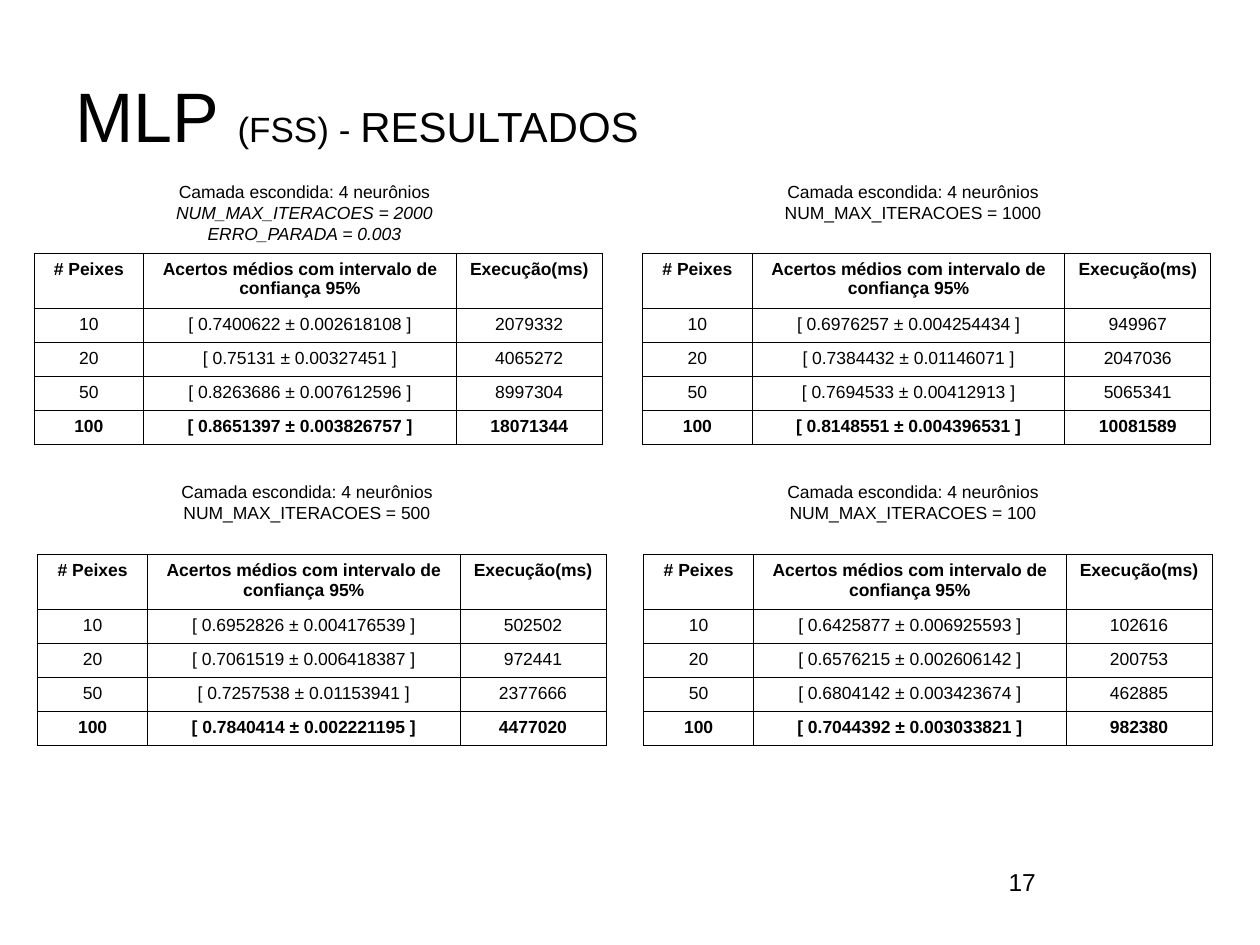
"""Build the MLP (FSS) results slide: four captioned tables in a two by two grid."""
from dataclasses import dataclass

from lxml.etree import SubElement
from pptx import Presentation
from pptx.dml.color import RGBColor
from pptx.enum.text import MSO_ANCHOR, MSO_AUTO_SIZE, PP_ALIGN
from pptx.oxml.ns import qn
from pptx.slide import Slide
from pptx.table import _Cell
from pptx.text.text import _Paragraph
from pptx.util import Inches, Pt


@dataclass(frozen=True)
class Theme:
    font: str = "Arial"
    ink: str = "000000"
    title_sizes: tuple[int, ...] = (40, 20, 24)
    body_size: int = 10
    number_size: int = 14
    border: float = 0.45


@dataclass(frozen=True)
class Line:
    text: str
    italic: bool = False


@dataclass(frozen=True)
class Experiment:
    row: int
    caption_left: float
    table_left: float
    settings: tuple[Line, ...]
    results: tuple[tuple[str, str], ...]


THEME = Theme()
SLIDE_WIDTH, SLIDE_HEIGHT = 10, 7.5
TITLE_PARTS = ("MLP ", "(FSS) - ", "RESULTADOS")
CAPTION_TOPS = (1.39, 3.77)
TABLE_TOPS = (2.01, 4.4)
CAPTION_WIDTH, LINE_HEIGHT = 3.87, 0.17
COLUMN_WIDTHS = (0.87, 2.48, 1.16)
HEADER_HEIGHT, ROW_HEIGHT = 0.44, 0.27
HIDDEN_LAYER = Line("Camada escondida: 4 neurônios")
HEADERS = ("# Peixes", "Acertos médios com intervalo de confiança 95%", "Execução(ms)")
FISH_COUNTS = ("10", "20", "50", "100")
EXPERIMENTS = (
    Experiment(
        0, 0.48, 0.27,
        (Line("NUM_MAX_ITERACOES = 2000", True), Line("ERRO_PARADA = 0.003", True)),
        (("0.7400622 ± 0.002618108", "2079332"), ("0.75131 ± 0.00327451", "4065272"),
         ("0.8263686 ± 0.007612596", "8997304"), ("0.8651397 ± 0.003826757", "18071344")),
    ),
    Experiment(
        0, 5.31, 5.1, (Line("NUM_MAX_ITERACOES = 1000"),),
        (("0.6976257 ± 0.004254434", "949967"), ("0.7384432 ± 0.01146071", "2047036"),
         ("0.7694533 ± 0.00412913", "5065341"), ("0.8148551 ± 0.004396531", "10081589")),
    ),
    Experiment(
        1, 0.5, 0.3, (Line("NUM_MAX_ITERACOES = 500"),),
        (("0.6952826 ± 0.004176539", "502502"), ("0.7061519 ± 0.006418387", "972441"),
         ("0.7257538 ± 0.01153941", "2377666"), ("0.7840414 ± 0.002221195", "4477020")),
    ),
    Experiment(
        1, 5.31, 5.11, (Line("NUM_MAX_ITERACOES = 100"),),
        (("0.6425877 ± 0.006925593", "102616"), ("0.6576215 ± 0.002606142", "200753"),
         ("0.6804142 ± 0.003423674", "462885"), ("0.7044392 ± 0.003033821", "982380")),
    ),
)


def add_run(paragraph: _Paragraph, text: str, size: int, bold: bool = False, italic: bool = False) -> None:
    run = paragraph.add_run()
    run.text = text
    run.font.name = THEME.font
    run.font.size = Pt(size)
    run.font.bold = bold
    run.font.italic = italic
    run.font.color.rgb = RGBColor.from_string(THEME.ink)


def add_title(slide: Slide) -> None:
    title = slide.shapes.title
    title.left, title.top = Inches(0.05 * SLIDE_WIDTH), Inches(0.06 * SLIDE_HEIGHT)
    title.width, title.height = Inches(0.9 * SLIDE_WIDTH), Inches(1.25)
    frame = title.text_frame
    frame.auto_size = MSO_AUTO_SIZE.NONE
    frame.vertical_anchor = MSO_ANCHOR.MIDDLE
    frame.margin_bottom = Inches(0.38)
    paragraph = frame.paragraphs[0]
    paragraph.alignment = PP_ALIGN.LEFT
    for text, size in zip(TITLE_PARTS, THEME.title_sizes):
        add_run(paragraph, text, size)


def add_text(slide: Slide, box: tuple[float, float, float, float], lines: tuple[Line, ...],
             size: int, alignment: PP_ALIGN) -> None:
    frame = slide.shapes.add_textbox(*map(Inches, box)).text_frame
    frame.word_wrap = True
    for index, line in enumerate(lines):
        paragraph = frame.add_paragraph() if index else frame.paragraphs[0]
        paragraph.alignment = alignment
        add_run(paragraph, line.text, size, italic=line.italic)


def format_cell(cell: _Cell, text: str, bold: bool) -> None:
    properties = cell._tc.get_or_add_tcPr()
    for side in ("a:lnL", "a:lnR", "a:lnT", "a:lnB"):
        border = SubElement(properties, qn(side), w=str(Pt(THEME.border)))
        fill = SubElement(border, qn("a:solidFill"))
        SubElement(fill, qn("a:srgbClr"), val=THEME.ink)
    cell.fill.background()
    paragraph = cell.text_frame.paragraphs[0]
    paragraph.alignment = PP_ALIGN.CENTER
    add_run(paragraph, text, THEME.body_size, bold)


def add_results_table(slide: Slide, experiment: Experiment) -> None:
    rows = [HEADERS]
    for count, (accuracy, duration) in zip(FISH_COUNTS, experiment.results):
        rows.append((count, f"[ {accuracy} ]", duration))
    heights = [HEADER_HEIGHT] + [ROW_HEIGHT] * len(FISH_COUNTS)
    box = (experiment.table_left, TABLE_TOPS[experiment.row], sum(COLUMN_WIDTHS), sum(heights))
    table = slide.shapes.add_table(len(rows), len(HEADERS), *map(Inches, box)).table
    table.first_row = table.horz_banding = False
    for column, width in zip(table.columns, COLUMN_WIDTHS):
        column.width = Inches(width)
    for row_index, (values, height) in enumerate(zip(rows, heights)):
        table.rows[row_index].height = Inches(height)
        bold = row_index in (0, len(rows) - 1)
        for column_index, text in enumerate(values):
            format_cell(table.cell(row_index, column_index), text, bold)


def add_experiment(slide: Slide, experiment: Experiment) -> None:
    lines = (HIDDEN_LAYER, *experiment.settings)
    height = 0.1 + LINE_HEIGHT * len(lines)
    box = (experiment.caption_left, CAPTION_TOPS[experiment.row], CAPTION_WIDTH, height)
    add_text(slide, box, lines, THEME.body_size, PP_ALIGN.CENTER)
    add_results_table(slide, experiment)


def main() -> None:
    presentation = Presentation()
    presentation.slide_width = Inches(SLIDE_WIDTH)
    presentation.slide_height = Inches(SLIDE_HEIGHT)
    slide = presentation.slides.add_slide(presentation.slide_layouts.get_by_name("Title Only"))
    add_title(slide)
    for experiment in EXPERIMENTS:
        add_experiment(slide, experiment)
    add_text(slide, (7.68, 6.83, 0.64, 0.52), (Line("17"),), THEME.number_size, PP_ALIGN.RIGHT)
    presentation.save("out.pptx")


if __name__ == "__main__":
    main()
